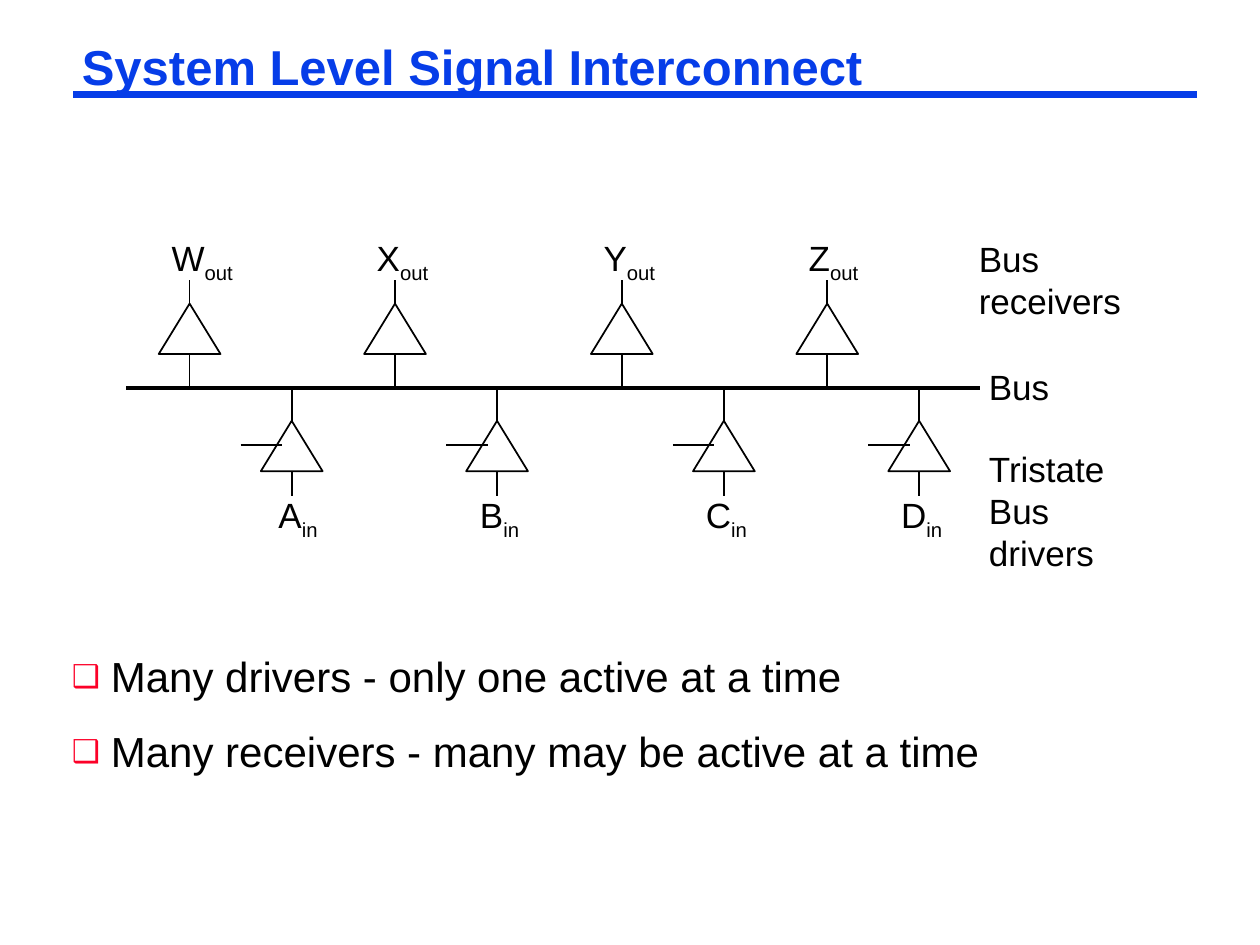
from lxml import etree
from pptx import Presentation
from pptx.dml.color import RGBColor
from pptx.enum import shapes, text
from pptx.oxml import ns
from pptx.util import Inches, Pt

BLUE, BLACK, RED = "063DE8", "000000", "FC0128"
GATE_W, GATE_H = 0.49, 0.4
# name, offset from the left of the bus, shift of the label from the gate
OUTS = [("W", 0.26, 0.1), ("X", 1.89, 0.06), ("Y", 3.69, 0.06), ("Z", 5.32, 0.05)]
INS = [("A", 1.07, 0.05), ("B", 2.7, 0.02), ("C", 4.5, 0.02), ("D", 6.05, 0.02)]


def rgb(code):
    return RGBColor.from_string(code)


def place(shape, box):
    shape.left, shape.top, shape.width, shape.height = map(Inches, box)


def add(parent, tag, **attrs):
    return etree.SubElement(parent, ns.qn(tag), attrs)


def write(para, words, size=20, color=BLACK, bold=False, base=0):
    """Append a run; base lowers it, in percent."""
    run = para.add_run()
    run.text = words
    font = run.font
    font.name, font.size, font.bold = "Arial", Pt(size), bold
    font.color.rgb = rgb(color)
    if base:
        run._r.get_or_add_rPr().set("baseline", str(base * 1000))


def line(slide, x1, y1, x2, y2, width=1, color=BLACK):
    wire = slide.shapes.add_connector(
        shapes.MSO_CONNECTOR.STRAIGHT, *map(Inches, (x1, y1, x2, y2)))
    wire.line.width = Pt(width)
    wire.line.color.rgb = rgb(color)
    add(wire._element.spPr, "a:effectLst")
    return wire


def textbox(slide, box, wrap=True):
    frame = slide.shapes.add_textbox(*map(Inches, box)).text_frame
    frame.word_wrap = wrap
    frame.vertical_anchor = text.MSO_ANCHOR.MIDDLE
    return frame


def note(slide, box, lines):
    """Plain text, one paragraph for each line."""
    frame = textbox(slide, box)
    for i, words in enumerate(lines):
        para = frame.add_paragraph() if i else frame.paragraphs[0]
        write(para, words)


def label(slide, mid, top, name, sub):
    para = textbox(slide, (mid - 0.36, top, 0.72, 0.43), False).paragraphs[0]
    para.alignment = text.PP_ALIGN.CENTER
    write(para, name)
    write(para, sub, base=-25)


def gate(slide, x, y, up, down):
    """Triangle with a wire of the given length above and below."""
    tri = slide.shapes.add_shape(
        shapes.MSO_SHAPE.FLOWCHART_EXTRACT,
        *map(Inches, (x, y, GATE_W, GATE_H)))
    tri.shadow.inherit = False
    tri.fill.background()
    tri.line.color.rgb = rgb(BLACK)
    tri.line.width = Pt(1)
    mid, base = x + GATE_W / 2, y + GATE_H
    line(slide, mid, y, mid, y - up).begin_connect(tri, 0)
    line(slide, mid, base, mid, base + down).begin_connect(tri, 2)
    return mid


def diagram(slide, left, bus, width):
    """Receivers above and drivers below a bus line."""
    line(slide, left, bus, left + width, bus, 2.25)
    for name, off, shift in OUTS:
        mid = gate(slide, left + off, bus - 0.67, 0.19, 0.27)
        label(slide, mid + shift, bus - 1.23, name, "out")
    for name, off, shift in INS:
        x, y = left + off, bus + 0.26
        mid = gate(slide, x, y, 0.27, 0.2)
        line(slide, x - 0.16, y + 0.19, x + 0.17, y + 0.19)
        label(slide, mid + shift, bus + 0.81, name, "in")
    right = left + width
    note(slide, (right - 0.11, bus - 1.25, 1.4, 0.77), ["Bus", "receivers"])
    note(slide, (right - 0.03, bus - 0.23, 1.03, 0.43), ["Bus"])
    note(slide, (right - 0.03, bus + 0.42, 1.25, 1.1),
         ["Tristate", "Bus", "drivers"])


def fit(frame, anchor):
    frame.margin_left = frame.margin_right = Inches(0.07)
    frame.margin_top = frame.margin_bottom = Inches(0.03)
    frame.vertical_anchor = anchor
    frame.auto_size = text.MSO_AUTO_SIZE.NONE


def heading(slide, left, top, width, height):
    title = slide.shapes.title
    place(title, (left, top, width, height))
    fit(title.text_frame, text.MSO_ANCHOR.BOTTOM)
    para = title.text_frame.paragraphs[0]
    para.alignment = text.PP_ALIGN.LEFT
    para.line_spacing = 0.87
    write(para, "System Level Signal Interconnect", 28, BLUE, True)
    rule = top + height - 0.04
    line(slide, left, rule, left + width, rule, 4.5, BLUE)


def bullets(slide, box, items):
    body = slide.placeholders[1]
    place(body, box)
    frame = body.text_frame
    fit(frame, text.MSO_ANCHOR.TOP)
    for i, words in enumerate(items):
        para = frame.add_paragraph() if i else frame.paragraphs[0]
        para.line_spacing = 0.9
        para.space_before = Pt(17 if i else 0)
        props = para._p.get_or_add_pPr()
        props.set("marL", str(Inches(0.31)))
        props.set("indent", str(-Inches(0.31)))
        add(add(props, "a:buClr"), "a:srgbClr", val=RED)
        add(props, "a:buSzPct", val="75000")
        add(props, "a:buFont", typeface="Arial")
        add(props, "a:buChar", char="❑")
        write(para, words, 24)


def main():
    deck = Presentation()
    deck.slide_width, deck.slide_height = Inches(10), Inches(7.5)
    slide = deck.slides.add_slide(deck.slide_layouts[1])
    heading(slide, 0.58, 0.33, 8.92, 0.46)
    diagram(slide, 1, 3.08, 6.78)
    bullets(slide, (0.5, 5.18, 9.25, 1.24), [
        "Many drivers - only one active at a time",
        "Many receivers - many may be active at a time"])
    deck.save("out.pptx")


if __name__ == "__main__":
    main()
